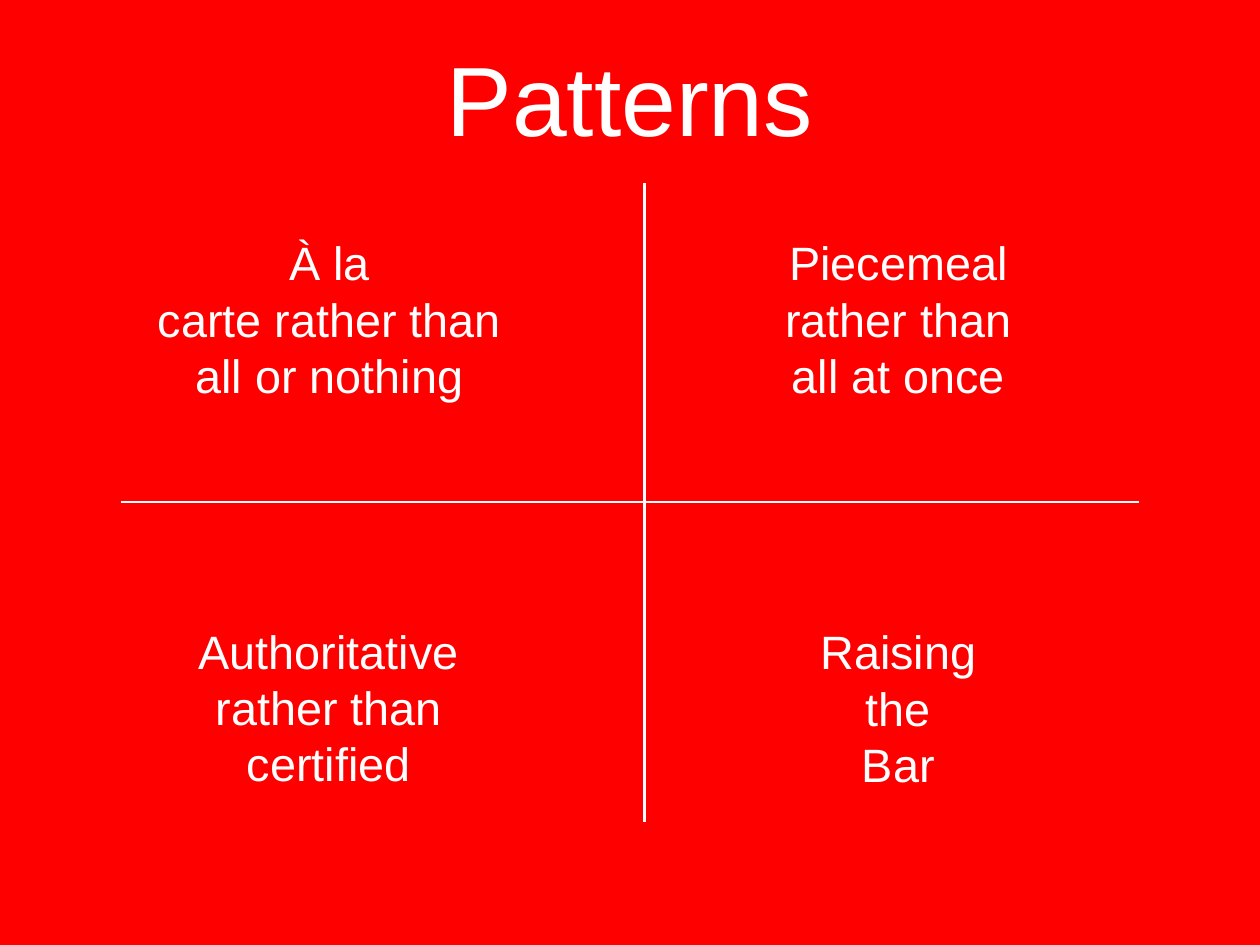
from pptx import Presentation
from pptx import util as u
from pptx.dml.color import RGBColor
from pptx.enum import shapes, text
from lxml import etree

RED, WHITE = "FF0000", "FFFFFF"
NS = "http://schemas.openxmlformats.org/drawingml/2006/main"


def paint(color, value):
    color.rgb = RGBColor.from_string(value)


def add_text(slide, place, lines, size, wrap):
    box = slide.shapes.add_textbox(*[u.Cm(n) for n in place])
    frame = box.text_frame
    frame.word_wrap = wrap
    frame.auto_size = text.MSO_AUTO_SIZE.NONE if wrap else text.MSO_AUTO_SIZE.SHAPE_TO_FIT_TEXT
    frame.vertical_anchor = text.MSO_ANCHOR.MIDDLE
    frame.margin_left = frame.margin_right = u.Cm(0.15)
    frame.margin_top = frame.margin_bottom = u.Cm(0.15)
    for i, line in enumerate(lines):
        para = frame.add_paragraph() if i else frame.paragraphs[0]
        para.alignment = text.PP_ALIGN.CENTER
        run = para.add_run()
        run.text = line
        run.font.name = "Arial"
        run.font.size = u.Pt(size)
        paint(run.font.color, WHITE)


deck = Presentation()
deck.slide_width, deck.slide_height = u.Cm(36.12), u.Cm(27.1)
slide = deck.slides.add_slide(deck.slide_layouts[6])
slide.background.fill.solid()
paint(slide.background.fill.fore_color, RED)

# Title
add_text(slide, (2.64, 0.43, 30.84, 4.72), ["Patterns"], 80, True)

# One pattern in each quarter
quarters = [
    ((5.54, 17.7, 7.77, 5.16), ["Authoritative", "rather than", "certified"]),
    ((22.35, 6.55, 6.81, 5.16), ["Piecemeal", "rather than", "all at once"]),
    ((4.32, 6.55, 10.26, 5.16), ["À la", "carte rather than", "all or nothing"]),
    ((22.25, 18.52, 7.01, 3.53), ["Raising the", "Bar"]),
]
for place, lines in quarters:
    add_text(slide, place, lines, 38, False)

# Crossing axes
for ends in [(18.47, 23.57, 18.47, 5.26), (3.48, 14.4, 32.64, 14.4)]:
    axis = slide.shapes.add_connector(
        shapes.MSO_CONNECTOR.STRAIGHT, *[u.Cm(n) for n in ends])
    axis.line.width = u.Pt(2)
    paint(axis.line.color, WHITE)
    etree.SubElement(axis._element.spPr, f"{{{NS}}}effectLst")

deck.save("out.pptx")
